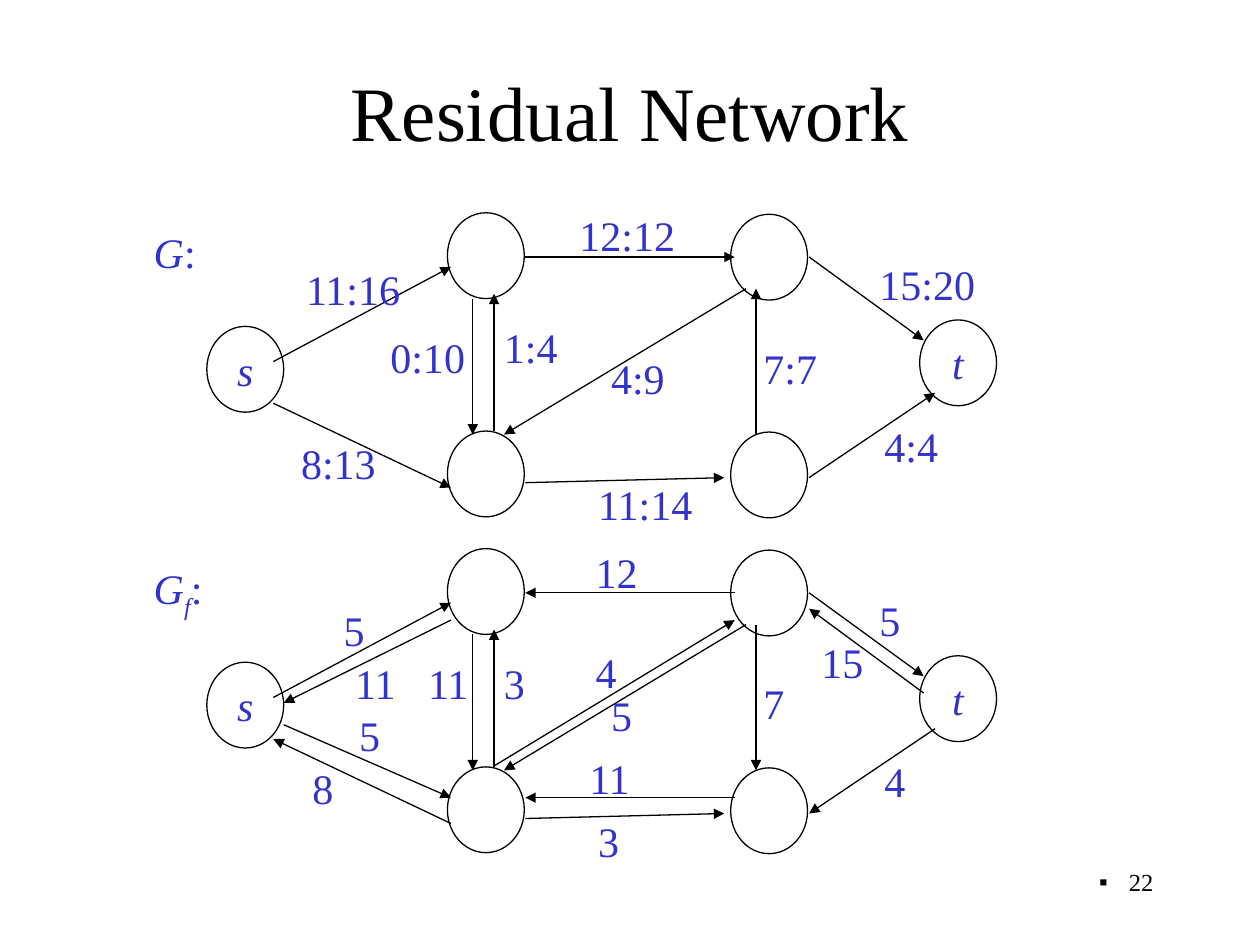
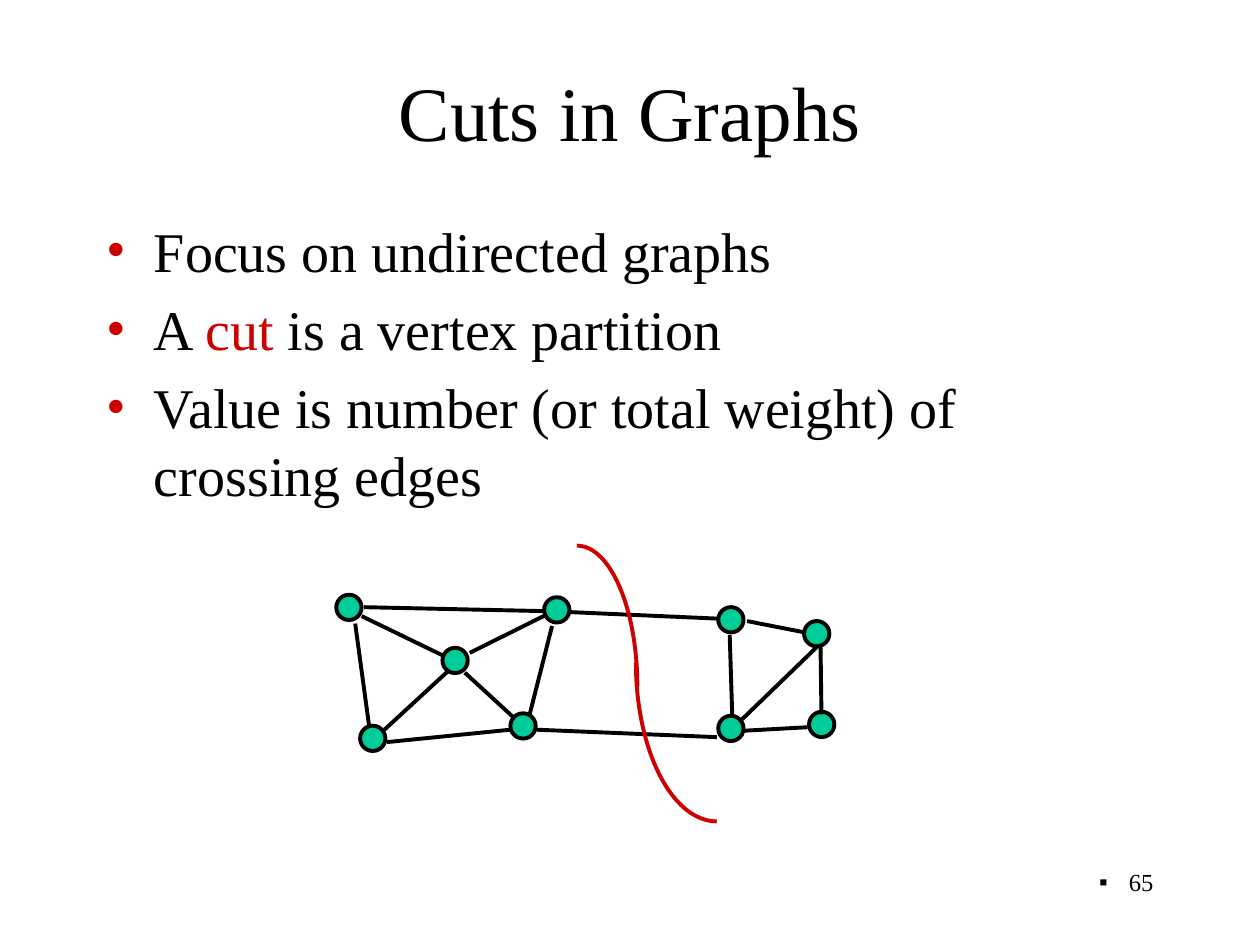
"""Two slides on graph theory: a residual network and a cut in a graph."""
import math
from dataclasses import dataclass

import pptx
import pptx.dml.color
import pptx.enum.shapes
import pptx.enum.text
import pptx.oxml.ns
import pptx.util
from lxml import etree
from pptx.util import Cm

qn = pptx.oxml.ns.qn
Align = pptx.enum.text.PP_ALIGN
Anchor = pptx.enum.text.MSO_ANCHOR


@dataclass(frozen=True)
class Theme:
    """Colours, font, type sizes and line widths of both slides."""
    font: str = "Times New Roman"
    ink: str = "000000"
    label: str = "3333CC"
    accent: str = "CE0000"
    vertex: str = "00CC99"
    title_size: int = 44
    body_size: int = 32
    label_size: int = 24
    number_size: int = 14
    thin: float = 0.75
    thick: float = 2.25


@dataclass(frozen=True)
class Box:
    """A region in centimetres; parts are placed relative to it."""
    left: float
    top: float
    width: float
    height: float

    def at(self, x, y):
        """Turn a point inside the box into slide lengths."""
        return Cm(self.left + x), Cm(self.top + y)

    def frame(self):
        """Give left, top, width and height as slide lengths."""
        return Cm(self.left), Cm(self.top), Cm(self.width), Cm(self.height)


THEME = Theme()
TITLE_BOX = Box(1.9, 0.64, 21.6, 3.18)
BODY_BOX = Box(1.9, 4.23, 21.6, 12.7)
NUMBER_BOX = Box(18.2, 17.36, 5.3, 1.27)
FLOW_BOX = Box(2.85, 4.1, 17.25, 6.6)
RESIDUAL_BOX = Box(2.85, 10.87, 17.25, 6.6)
CUT_BOX = Box(6.78, 11, 10.1, 5.56)

# Flow network: vertex corners, texts and the ends of each edge.
NODE_WIDTH, NODE_HEIGHT = 1.55, 1.73
NODES = {
    "s": (1.32, 2.48, "s"), "a": (6.17, 0.19, ""), "b": (6.17, 4.59, ""),
    "c": (11.88, 0.22, ""), "d": (11.88, 4.61, ""), "t": (15.69, 2.35, "t"),
}
FLOW_EDGES = {
    "sa": (2.66, 3.19, 6.24, 1.28), "sb": (2.66, 4.03, 6.24, 5.73),
    "bd": (7.74, 5.63, 11.75, 5.53), "dt": (13.46, 5.53, 16, 3.82),
    "ac": (7.74, 1.08, 11.96, 1.08), "ct": (13.46, 1.08, 15.77, 2.76),
    "ba": (7.11, 4.59, 7.11, 1.82), "cb": (12.19, 1.72, 7.31, 4.66),
    "dc": (12.39, 4.66, 12.39, 1.72), "ab": (6.68, 1.92, 6.68, 4.66),
}
REVERSED_EDGES = {"sb", "dt", "ac", "dc"}
ADDED_EDGES = [
    (11.96, 5.21, 7.74, 5.21), (15.77, 3.1, 13.46, 1.4),
    (7.11, 4.57, 11.96, 1.63), (6.24, 1.63, 2.87, 3.3),
    (2.87, 3.74, 6.24, 5.21),
]
FLOW_LABELS = [
    ("11:16", 3.07, 1.08), ("0:10", 4.77, 2.45), ("8:13", 2.97, 4.59),
    ("1:4", 7.06, 2.25), ("4:9", 9.22, 2.89), ("12:12", 8.58, 0),
    ("7:7", 12.29, 2.68), ("15:20", 14.63, 0.98), ("4:4", 14.73, 4.26),
    ("11:14", 8.96, 5.43),
]
RESIDUAL_LABELS = [
    ("5", 3.83, 1.2), ("11", 5.53, 2.26), ("8", 3.2, 4.37), ("3", 7.06, 2.26),
    ("5", 9.22, 2.9), ("12", 8.91, 0.03), ("7", 12.29, 2.67),
    ("5", 14.63, 0.99), ("4", 14.73, 4.24), ("3", 8.96, 5.44),
    ("11", 8.78, 4.17), ("15", 13.46, 1.83), ("4", 8.91, 2.03),
    ("11", 4.06, 2.26), ("5", 4.14, 3.3),
]

# Cut graph: vertex corners, edge ends and the two quarter arcs of the cut.
DOT = 0.51
DOTS = [
    (2.14, 2.06), (0, 0.99), (3.51, 3.38), (4.19, 1.04), (0.48, 3.63),
    (7.7, 1.24), (7.7, 3.43), (9.53, 3.35), (9.43, 1.52),
]
CUT_EDGES = [
    (0.51, 1.42, 2.14, 2.21), (0.38, 1.57, 0.66, 3.63),
    (1.02, 3.96, 3.51, 3.71), (2.59, 2.56, 3.56, 3.45),
    (3.89, 3.43, 4.35, 1.62), (0.56, 1.24, 4.22, 1.32),
    (4.22, 1.4, 2.69, 2.16), (2.24, 2.54, 0.97, 3.71),
    (4.73, 1.34, 7.67, 1.47), (8.28, 1.52, 9.45, 1.75),
    (9.7, 2.03, 8.18, 3.5), (7.93, 1.8, 7.98, 3.4),
    (7.67, 3.86, 4.04, 3.71), (8.23, 3.73, 9.5, 3.66),
    (9.78, 3.4, 9.76, 1.98),
]
# centre x, centre y, radius x, radius y, first angle, last angle
CUT_ARCS = [(4.85, 2.84, 1.22, 2.84, -90, 0), (7.67, 2.36, 1.63, 3.2, 180, 90)]


def colour(value):
    """Make a colour from its hex value."""
    return pptx.dml.color.RGBColor.from_string(value)


def style_runs(paragraph, size, value):
    """Give all runs of a paragraph the theme font, a size and a colour."""
    for run in paragraph.runs:
        run.font.name = THEME.font
        run.font.size = pptx.util.Pt(size)
        run.font.color.rgb = colour(value)


def add_runs(paragraph, texts):
    """Append one run for each text and return the runs."""
    runs = [paragraph.add_run() for _ in texts]
    for run, text in zip(runs, texts):
        run.text = text
    return runs


def set_bullet(paragraph, character, value, indent):
    """Give a paragraph a hanging bullet."""
    properties = paragraph._p.get_or_add_pPr()
    properties.set("marL", str(Cm(indent)))
    properties.set("indent", str(-Cm(indent)))
    bullet_colour = etree.SubElement(properties, qn("a:buClr"))
    etree.SubElement(bullet_colour, qn("a:srgbClr")).set("val", value)
    etree.SubElement(properties, qn("a:buFont")).set("typeface", THEME.font)
    etree.SubElement(properties, qn("a:buChar")).set("char", character)


def style_line(shape, width, value=THEME.ink):
    """Set the width and colour of an outline or line."""
    shape.line.width = pptx.util.Pt(width)
    shape.line.color.rgb = colour(value)


def add_edge(slide, box, ends, width, arrow=False):
    """Draw a straight edge, with an arrowhead at its end if asked."""
    start, end = box.at(*ends[:2]), box.at(*ends[2:])
    edge = slide.shapes.add_connector(
        pptx.enum.shapes.MSO_CONNECTOR.STRAIGHT, *start, *end)
    style_line(edge, width)
    properties = edge._element.spPr
    if arrow:
        line = properties.find(qn("a:ln"))
        etree.SubElement(line, qn("a:tailEnd")).set("type", "triangle")
    etree.SubElement(properties, qn("a:effectLst"))


def add_vertex(slide, box, x, y, size, width, fill=None):
    """Draw an outlined ellipse and return it."""
    vertex = slide.shapes.add_shape(
        pptx.enum.shapes.MSO_SHAPE.OVAL, *box.at(x, y), *map(Cm, size))
    vertex.shadow.inherit = False
    if fill:
        vertex.fill.solid()
        vertex.fill.fore_color.rgb = colour(fill)
    else:
        vertex.fill.background()
    style_line(vertex, width)
    return vertex


def add_label(slide, box, texts, x, y, width=None):
    """Place an unwrapped label, as wide as its digits and colons."""
    text = "".join(texts)
    width = width or 0.51 + sum(0.24 if c == ":" else 0.42 for c in text)
    label = slide.shapes.add_textbox(*box.at(x, y), Cm(width), Cm(1.27))
    label.text_frame.word_wrap = False
    paragraph = label.text_frame.paragraphs[0]
    runs = add_runs(paragraph, texts)
    style_runs(paragraph, THEME.label_size, THEME.label)
    return runs


def add_network(slide, box, name, name_width, edges, labels):
    """Draw a directed network with its name, vertices, edges and labels."""
    for x, y, text in NODES.values():
        node = add_vertex(slide, box, x, y, (NODE_WIDTH, NODE_HEIGHT), THEME.thin)
        if text:
            frame = node.text_frame
            frame.word_wrap = False
            frame.vertical_anchor = Anchor.MIDDLE
            frame.text = text
            paragraph = frame.paragraphs[0]
            paragraph.alignment = Align.CENTER
            style_runs(paragraph, THEME.label_size, THEME.label)
            paragraph.runs[0].font.italic = True
    for ends in edges:
        add_edge(slide, box, ends, THEME.thin, arrow=True)
    for label in labels:
        add_label(slide, box, [label[0]], *label[1:])
    runs = add_label(slide, box, name, 0, 0.35, name_width)
    for run in runs[:-1]:
        run.font.italic = True
    for subscript in runs[1:-1]:
        subscript._r.get_or_add_rPr().set("baseline", "-25000")


def add_cut_graph(slide, box):
    """Draw an undirected graph and the curve that cuts it in two."""
    for x, y in DOTS:
        add_vertex(slide, box, x, y, (DOT, DOT), THEME.thick, THEME.vertex)
    for ends in CUT_EDGES:
        add_edge(slide, box, ends, THEME.thick)
    steps = 24
    for centre_x, centre_y, radius_x, radius_y, first, last in CUT_ARCS:
        angles = [math.radians(first + (last - first) * step / steps)
                  for step in range(steps + 1)]
        points = [box.at(centre_x + radius_x * math.cos(angle),
                         centre_y + radius_y * math.sin(angle))
                  for angle in angles]
        builder = slide.shapes.build_freeform(*points[0])
        builder.add_line_segments(points[1:], close=False)
        arc = builder.convert_to_shape()
        arc.shadow.inherit = False
        arc.fill.background()
        style_line(arc, THEME.thick, THEME.accent)


def fit_placeholder(placeholder, box):
    """Move a placeholder into a box and keep its text at full size."""
    (placeholder.left, placeholder.top,
     placeholder.width, placeholder.height) = box.frame()
    placeholder.text_frame.auto_size = pptx.enum.text.MSO_AUTO_SIZE.NONE


def add_slide(presentation, layout_index, title, number):
    """Add a slide with its title and its bulleted slide number."""
    slide = presentation.slides.add_slide(presentation.slide_layouts[layout_index])
    heading = slide.shapes.title
    fit_placeholder(heading, TITLE_BOX)
    heading.text_frame.text = title
    heading.text_frame.vertical_anchor = Anchor.MIDDLE
    heading.text_frame.paragraphs[0].alignment = Align.CENTER
    style_runs(heading.text_frame.paragraphs[0], THEME.title_size, THEME.ink)

    footer = slide.shapes.add_textbox(*NUMBER_BOX.frame())
    footer.text_frame.word_wrap = True
    footer.text_frame.text = str(number)
    paragraph = footer.text_frame.paragraphs[0]
    paragraph.alignment = Align.RIGHT
    set_bullet(paragraph, "▪", THEME.ink, 0.6)
    style_runs(paragraph, THEME.number_size, THEME.ink)
    return slide


def fill_list(placeholder, box, items):
    """Write a bulleted list; the middle run of three is accented."""
    fit_placeholder(placeholder, box)
    frame = placeholder.text_frame
    for index, texts in enumerate(items):
        paragraph = frame.add_paragraph() if index else frame.paragraphs[0]
        runs = add_runs(paragraph, texts)
        set_bullet(paragraph, "•", THEME.accent, 0.95)
        style_runs(paragraph, THEME.body_size, THEME.ink)
        for run in runs[1:-1]:
            run.font.color.rgb = colour(THEME.accent)


def main():
    """Build and save the presentation."""
    presentation = pptx.Presentation()
    presentation.slide_width, presentation.slide_height = Cm(25.4), Cm(19.05)

    slide = add_slide(presentation, 5, "Residual Network", 22)
    add_network(slide, FLOW_BOX, ["G", ":"], 1.35, FLOW_EDGES.values(), FLOW_LABELS)
    residual_edges = [ends[2:] + ends[:2] if name in REVERSED_EDGES else ends
                      for name, ends in FLOW_EDGES.items()]
    add_network(slide, RESIDUAL_BOX, ["G", "f", ":"], 1.52,
                residual_edges + ADDED_EDGES, RESIDUAL_LABELS)

    slide = add_slide(presentation, 1, "Cuts in Graphs", 65)
    fill_list(slide.placeholders[1], BODY_BOX, [
        ["Focus on undirected graphs"],
        ["A ", "cut", " is a vertex partition"],
        ["Value is number (or total weight) of crossing edges"],
    ])
    add_cut_graph(slide, CUT_BOX)
    presentation.save("out.pptx")


main()
